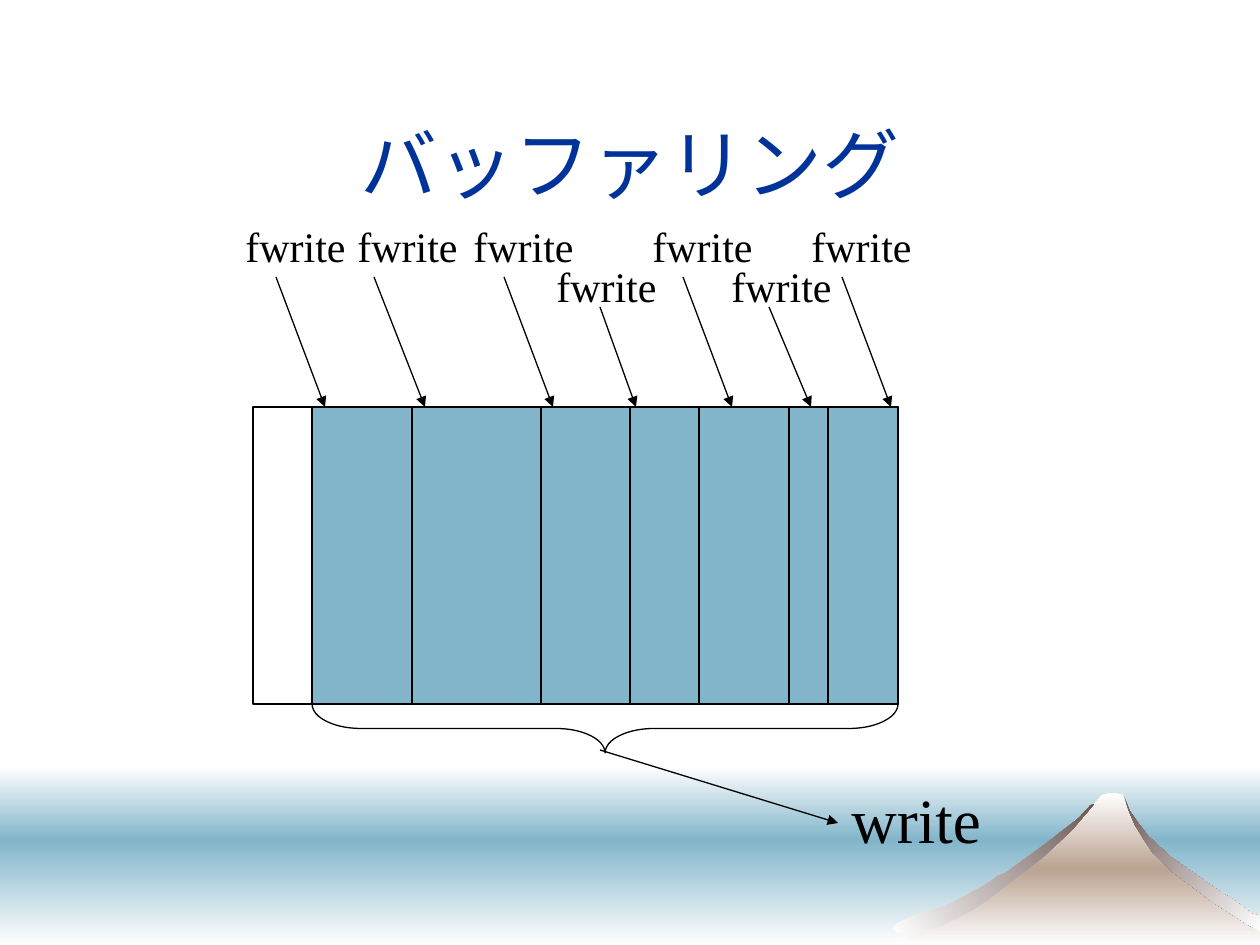
from copy import deepcopy
from itertools import pairwise

from lxml import etree
from pptx import Presentation
from pptx import util as u
from pptx.dml.color import RGBColor
from pptx.enum import shapes, text
from pptx.oxml.ns import qn

EMU_PER_PX = 914400 / 126
WIDTH, HEIGHT = 1260, 945

BLACK = RGBColor(0x00, 0x00, 0x00)
WHITE = RGBColor(0xFF, 0xFF, 0xFF)
SEA = RGBColor(0x82, 0xB5, 0xCA)
NAVY = RGBColor(0x00, 0x33, 0x99)
SAND = RGBColor(0xBC, 0xA3, 0x92)
ROCK = RGBColor(0x6B, 0x56, 0x53)

MOUNTAIN = [
    (896, 945), (995, 888), (1058, 839), (1095, 803), (1102, 795), (1109, 793),
    (1116, 793), (1123, 795), (1138, 828), (1162, 857), (1220, 897), (1260, 924),
    (1260, 945),
]
RIGHT_RIDGE = [
    (1153, 853), (1173, 872), (1194, 888), (1201, 893), (1211, 901), (1247, 924),
    (1260, 931), (1260, 916), (1252, 914), (1234, 900), (1222, 893), (1171, 857),
    (1149, 837), (1139, 824), (1130, 811), (1124, 796), (1129, 811), (1135, 825),
    (1143, 838),
]
LEFT_RIDGE = [
    (1048, 842), (1007, 872), (998, 876), (985, 885), (946, 906), (926, 911),
    (907, 919), (896, 924), (892, 929), (897, 932), (907, 934), (920, 931),
    (931, 929), (945, 924), (969, 912), (983, 903), (990, 898), (1042, 858),
    (1072, 830), (1089, 810), (1094, 804), (1090, 806), (1079, 818),
]

BUFFER_LEFT, BUFFER_TOP, BUFFER_HEIGHT = 253, 407, 297
SEGMENT_EDGES = [312, 412, 541, 630, 699, 789, 828, 898]
UPPER, LOWER = (214, 277), (254, 307)  # label top, arrow start
# label left, arrow start x, arrow end x, row
CALLS = [
    (233, 276, 325, UPPER),
    (345, 374, 425, UPPER),
    (461, 504, 553, UPPER),
    (544, 600, 636, LOWER),
    (640, 683, 732, UPPER),
    (719, 769, 811, LOWER),
    (799, 842, 891, UPPER),
]


def px(*lengths):
    return [u.Emu(round(length * EMU_PER_PX)) for length in lengths]


class Canvas:
    """Holds the style and the current slide."""

    font = "Times New Roman"
    line_width = u.Pt(0.75)

    def __init__(self, slide):
        self.slide = slide
        self.shapes = slide.shapes

    def outline(self, shape):
        shape.line.color.rgb = BLACK
        shape.line.width = self.line_width

    def shade(self, shape, colors, angle):
        """Fill with evenly spaced gradient stops; angle is clockwise."""
        shape.shadow.inherit = False
        shape.line.fill.background()
        shape.fill.gradient()
        shape.fill.gradient_angle = -angle % 360
        stop_list = shape._element.spPr.find(".//" + qn("a:gsLst"))
        while len(stop_list) < len(colors):
            stop_list.append(deepcopy(stop_list[0]))
        for index, (stop, color) in enumerate(zip(shape.fill.gradient_stops, colors)):
            stop.color.rgb = color
            stop.position = index / (len(colors) - 1)

    def band(self, top, height, colors):
        shape = self.shapes.add_shape(shapes.MSO_SHAPE.RECTANGLE, *px(0, top, WIDTH, height))
        self.shade(shape, colors, 90)

    def polygon(self, points, colors, angle):
        start, *rest = [px(*point) for point in points]
        builder = self.shapes.build_freeform(*start)
        builder.add_line_segments(rest, close=True)
        self.shade(builder.convert_to_shape(), colors, angle)

    def block(self, left, right, color):
        """Draw one span of the buffer."""
        box = px(left, BUFFER_TOP, right - left, BUFFER_HEIGHT)
        shape = self.shapes.add_shape(shapes.MSO_SHAPE.RECTANGLE, *box)
        shape.shadow.inherit = False
        shape.fill.solid()
        shape.fill.fore_color.rgb = color
        self.outline(shape)

    def brace_below(self, left, right, top, depth):
        """Turn a right brace so that it points down under a span."""
        span = right - left
        box = px((left + right - depth) / 2, top + (depth - span) / 2, depth, span)
        shape = self.shapes.add_shape(shapes.MSO_SHAPE.RIGHT_BRACE, *box)
        shape.adjustments[0] = 1
        shape.rotation = 90
        shape.shadow.inherit = False
        shape.fill.background()
        self.outline(shape)

    def arrow(self, x1, y1, x2, y2):
        connector = self.shapes.add_connector(
            shapes.MSO_CONNECTOR.STRAIGHT, *px(x1, y1, x2, y2))
        self.outline(connector)
        line = connector.line._get_or_add_ln()
        etree.SubElement(line, qn("a:tailEnd"), type="triangle")
        etree.SubElement(connector._element.spPr, qn("a:effectLst"))

    def text_frame(self, box, words, size, color):
        frame = self.shapes.add_textbox(*px(*box)).text_frame
        run = frame.paragraphs[0].add_run()
        run.text = words
        run.font.name = self.font
        run.font.size = u.Pt(size)
        run.font.color.rgb = color
        return frame

    def title(self, box, words):
        frame = self.text_frame(box, words, 44, NAVY)
        frame.word_wrap = True
        frame.vertical_anchor = text.MSO_ANCHOR.MIDDLE
        frame.paragraphs[0].alignment = text.PP_ALIGN.CENTER

    def label(self, box, words, size):
        """Add one line of text in a box that grows with it."""
        frame = self.text_frame(box, words, size, BLACK)
        frame.word_wrap = False
        frame.auto_size = text.MSO_AUTO_SIZE.SHAPE_TO_FIT_TEXT


def main():
    presentation = Presentation()
    presentation.slide_width, presentation.slide_height = px(WIDTH, HEIGHT)
    canvas = Canvas(presentation.slides.add_slide(presentation.slide_layouts[6]))

    canvas.band(766, 74, [WHITE, SEA])
    canvas.band(840, 105, [SEA, WHITE])
    canvas.polygon(MOUNTAIN, [WHITE, SAND, WHITE], 90)
    canvas.polygon(RIGHT_RIDGE, [ROCK, WHITE], 45)
    canvas.polygon(LEFT_RIDGE, [WHITE, ROCK], 315)

    canvas.title((94, 84, 1072, 158), "バッファリング")

    canvas.block(BUFFER_LEFT, SEGMENT_EDGES[-1], WHITE)
    for left, right in pairwise(SEGMENT_EDGES):
        canvas.block(left, right, SEA)
    for label_left, start_x, end_x, (label_top, start_y) in CALLS:
        canvas.arrow(start_x, start_y, end_x, BUFFER_TOP)
        canvas.label((label_left, label_top, 126, 63), "fwrite", 24)

    canvas.brace_below(SEGMENT_EDGES[0], SEGMENT_EDGES[-1], BUFFER_TOP + BUFFER_HEIGHT, 49)
    canvas.arrow(600, 750, 838, 823)
    canvas.label((839, 774, 155, 88), "write", 36)

    presentation.save("out.pptx")


if __name__ == "__main__":
    main()
